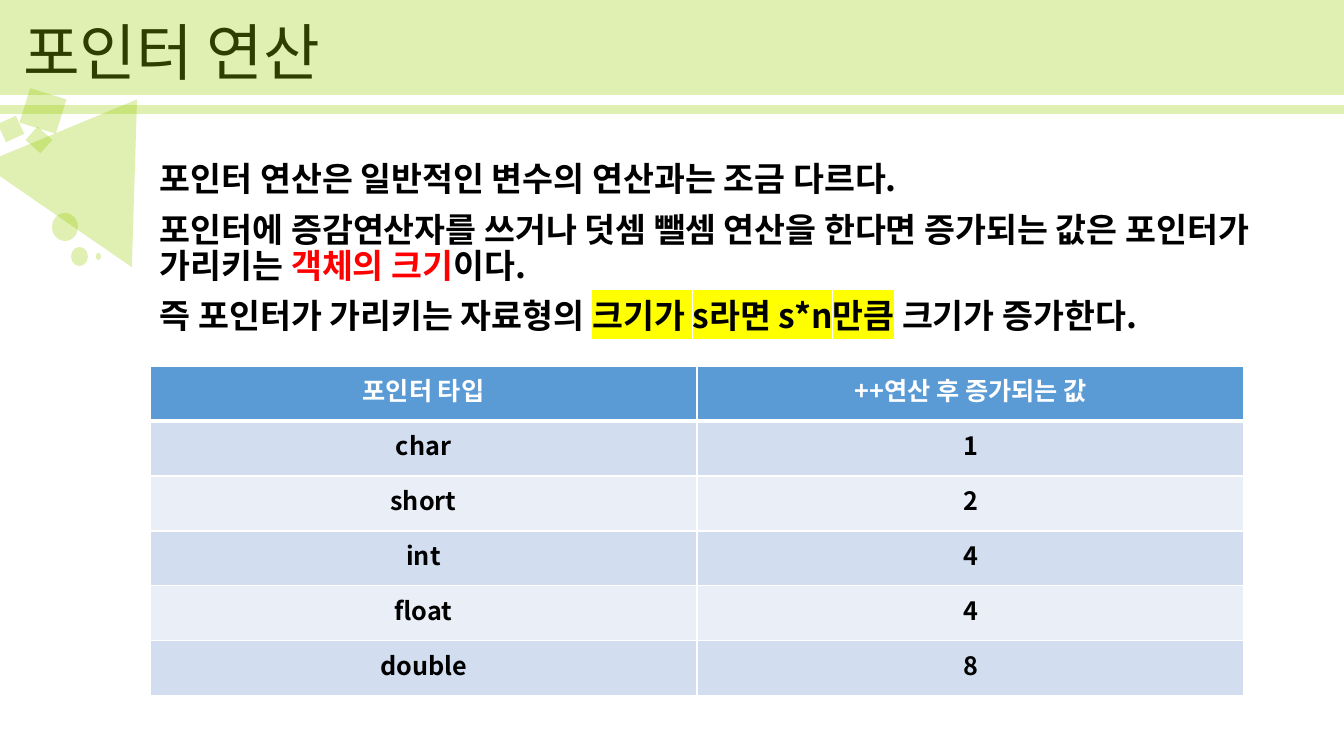
from dataclasses import dataclass

from pptx import Presentation
from pptx.dml.color import RGBColor
from pptx.enum.shapes import MSO_SHAPE as Shape
from pptx.enum.text import MSO_ANCHOR as Anchor, PP_ALIGN as Align
from pptx.oxml.ns import qn
from pptx.util import Emu, Pt
from lxml.etree import SubElement, Element


@dataclass(frozen=True)
class Theme:
    """Colours, font and type sizes of the slide."""
    font: str = "Noto Sans CJK KR"
    title_size: int = 44
    body_size: int = 24
    table_size: int = 18
    ink: str = "000000"
    paper: str = "FFFFFF"
    accent: str = "FF0000"
    marker: str = "FFFF00"
    lime: str = "99CC00"
    lime_alpha: int = 30
    header: str = "5B9BD5"
    bands: tuple = ("D2DEEF", "EAEFF7")


def px(length):
    """Turn whole pixels into EMU."""
    return Emu(round(length * 914400 / 100.8))


class SlideBuilder:
    """Draws styled elements on the current slide."""

    def __init__(self, deck, theme):
        """Open a title-only slide in the deck."""
        self.theme = theme
        self.slide = deck.slides.add_slide(deck.slide_layouts[5])

    def span(self, para, text, size, color=None, bold=True, marker=None):
        """Add one styled run to a paragraph."""
        run = para.add_run()
        run.text = text
        font = run.font
        font.size = Pt(size)
        font.bold = bold
        font.color.rgb = RGBColor.from_string(color or self.theme.ink)
        properties = run._r.get_or_add_rPr()
        if marker:
            highlight = SubElement(properties, qn("a:highlight"))
            SubElement(highlight, qn("a:srgbClr"), val=marker)
        font.name = self.theme.font
        SubElement(properties, qn("a:ea"), typeface=self.theme.font)

    def title(self, text, left, top, width, height):
        """Place and fill the title placeholder."""
        box = self.slide.shapes.title
        box.left, box.top, box.width, box.height = map(px, (left, top, width, height))
        frame = box.text_frame
        frame.word_wrap = True
        frame.vertical_anchor = Anchor.MIDDLE
        para = frame.paragraphs[0]
        para.alignment = Align.LEFT
        para.line_spacing = 0.9
        self.span(para, text, self.theme.title_size, bold=False)

    def ornament(self, kind, left, top, width, height, rotation=0):
        """Draw one translucent lime shape."""
        shape = self.slide.shapes.add_shape(kind, *map(px, (left, top, width, height)))
        shape.rotation = rotation
        shape.shadow.inherit = False
        shape.line.fill.background()
        shape.fill.solid()
        shape.fill.fore_color.rgb = RGBColor.from_string(self.theme.lime)
        color = shape._element.spPr.find(qn("a:solidFill"))[0]
        SubElement(color, qn("a:alpha"), val=str(self.theme.lime_alpha * 1000))

    def body(self, paragraphs, left, top, width, height):
        """Write paragraphs of (text, style) spans in a text box."""
        box = self.slide.shapes.add_textbox(*map(px, (left, top, width, height)))
        frame = box.text_frame
        frame.word_wrap = True
        for index, spans in enumerate(paragraphs):
            para = frame.add_paragraph() if index else frame.paragraphs[0]
            para.line_spacing = 0.9
            para.space_before = Pt(10)
            for text, style in spans:
                self.span(para, text, self.theme.body_size, **style)

    def borders(self, cell, top, bottom):
        """Give a cell white edges, with top and bottom widths in points."""
        properties = cell._tc.get_or_add_tcPr()
        for side, width in (("L", 1), ("R", 1), ("T", top), ("B", bottom)):
            edge = Element(qn(f"a:ln{side}"), w=str(Pt(width)))
            fill = SubElement(edge, qn("a:solidFill"))
            SubElement(fill, qn("a:srgbClr"), val=self.theme.paper)
            properties.append(edge)

    def table(self, rows, left, top, column_width, row_height):
        """Add a centred table with a header and banded rows."""
        theme = self.theme
        columns = len(rows[0])
        frame = self.slide.shapes.add_table(
            len(rows), columns, px(left), px(top),
            px(column_width * columns), px(row_height * len(rows)))
        table = frame.table
        for column in table.columns:
            column.width = px(column_width)
        for i, values in enumerate(rows):
            table.rows[i].height = px(row_height)
            fill = theme.bands[(i - 1) % 2] if i else theme.header
            color = theme.ink if i else theme.paper
            for j, value in enumerate(values):
                cell = table.cell(i, j)
                self.borders(cell, 3 if i == 1 else 1, 1 if i else 3)
                cell.fill.solid()
                cell.fill.fore_color.rgb = RGBColor.from_string(fill)
                para = cell.text_frame.paragraphs[0]
                para.alignment = Align.CENTER
                self.span(para, value, theme.table_size, color)


def main():
    """Build and save the pointer arithmetic slide."""
    deck = Presentation()
    deck.slide_width, deck.slide_height = px(1344), px(756)
    theme = Theme()
    page = SlideBuilder(deck, theme)
    page.title("포인터 연산", 13, -17, 1159, 146)

    ornaments = [
        (Shape.RECTANGLE, 0, 0, 1344, 95),
        (Shape.RECTANGLE, 0, 105, 1353, 9),
        (Shape.ISOSCELES_TRIANGLE, 6, 87, 182, 141, 34.6),
        (Shape.RECTANGLE, 24, 93, 38, 36, 17.1),
        (Shape.RECTANGLE, 29, 131, 20, 18, 41.8),
        (Shape.RECTANGLE, 1, 119, 20, 20, 335.3),
        (Shape.OVAL, 96, 253, 5, 7),
        (Shape.OVAL, 71, 247, 17, 19),
        (Shape.OVAL, 52, 213, 26, 28),
    ]
    for ornament in ornaments:
        page.ornament(*ornament)

    page.body([
        [("포인터 연산은 일반적인 변수의 연산과는 조금 다르다.", {})],
        [("포인터에 증감연산자를 쓰거나 덧셈 뺄셈 연산을 한다면 증가되는 값은 포인터가 가리키는 ", {}),
         ("객체의 크기", {"color": theme.accent}),
         ("이다.", {})],
        [("즉 포인터가 가리키는 자료형의 ", {}),
         ("크기가 s라면 s*n만큼", {"marker": theme.marker}),
         (" 크기가 증가한다.", {})],
    ], 150, 158, 1148, 582)

    page.table([
        ("포인터 타입", "++연산 후 증가되는 값"),
        ("char", "1"),
        ("short", "2"),
        ("int", "4"),
        ("float", "4"),
        ("double", "8"),
    ], 150, 366, 547, 55)
    deck.save("out.pptx")


if __name__ == "__main__":
    main()
